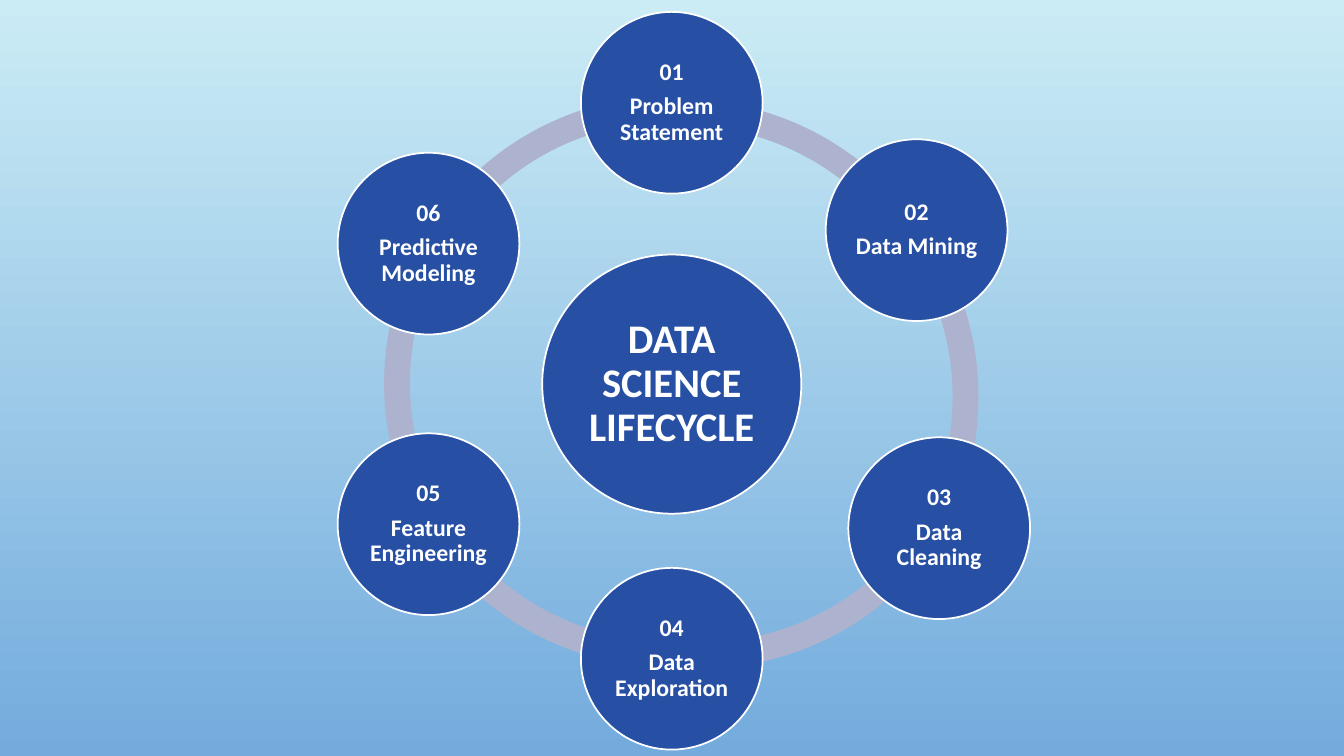
"""Build the data science lifecycle slide: six steps on a ring around a title."""
from typing import NamedTuple

from pptx import Presentation
from pptx import util as u
from pptx.dml.color import RGBColor
from pptx.enum import shapes, text

NAVY, WHITE, MAUVE = "274FA4", "FFFFFF", "ADB3CF"
MID_X, MID_Y = 16.93, 9.68
HUB, HUB_TEXT, NODE, RING = 6.53, 4.6, 4.58, 14.5


class Arc(NamedTuple):
    left: float
    top: float
    high: float
    start: float
    end: float


class Step(NamedTuple):
    x: float
    y: float
    name: str


ARCS = [
    Arc(9.68, 2.41, 14.5, 210, 270),
    Arc(9.68, 2.41, 14.5, 150, 210),
    Arc(9.6, 2.26, 14.55, 89.32, 148.67),
    Arc(10.41, 2.29, 14.55, 32, 95.81),
    Arc(10.16, 2.72, 14.55, 323.69, 27.99),
    Arc(9.93, 2.51, 14.5, 268.03, 326.92),
]
STEPS = [
    Step(MID_X, 2.59, "Problem Statement"),
    Step(23.1, 5.8, "Data Mining"),
    Step(23.67, 13.31, "Data Cleaning"),
    Step(MID_X, 16.6, "Data Exploration"),
    Step(10.8, 13.21, "Feature Engineering"),
    Step(10.8, 6.14, "Predictive Modeling"),
]


def tint(code: str) -> RGBColor:
    """Turn a hex string into a colour."""
    return RGBColor.from_string(code)


def draw_arc(slide, arc: Arc) -> None:
    """Draw one piece of the ring."""
    band = slide.shapes.add_shape(
        shapes.MSO_SHAPE.BLOCK_ARC,
        u.Cm(arc.left), u.Cm(arc.top), u.Cm(RING), u.Cm(arc.high))
    band.shadow.inherit = False
    band.fill.solid()
    band.fill.fore_color.rgb = tint(MAUVE)
    band.line.fill.background()
    for i, val in enumerate((arc.start * 0.6, arc.end * 0.6, 0.045)):
        band.adjustments[i] = val


def draw_disc(slide, x: float, y: float, size: float):
    """Draw a circle around a centre point and return it."""
    disc = slide.shapes.add_shape(
        shapes.MSO_SHAPE.OVAL,
        u.Cm(x - size / 2), u.Cm(y - size / 2), u.Cm(size), u.Cm(size))
    disc.shadow.inherit = False
    disc.fill.solid()
    disc.fill.fore_color.rgb = tint(NAVY)
    disc.line.color.rgb = tint(WHITE)
    disc.line.width = u.Pt(1.25)
    return disc


def set_text(shape, words: str, size: float, pad: float) -> None:
    """Fill a shape with centred bold white text."""
    frame = shape.text_frame
    frame.text = words
    frame.word_wrap = True
    frame.auto_size = text.MSO_AUTO_SIZE.NONE
    frame.vertical_anchor = text.MSO_ANCHOR.MIDDLE
    frame.margin_left = frame.margin_right = u.Cm(pad)
    frame.margin_top = frame.margin_bottom = u.Cm(pad)
    for para in frame.paragraphs:
        para.alignment = text.PP_ALIGN.CENTER
        para.line_spacing = 0.9
        para.space_before = u.Pt(0)
        for run in para.runs:
            run.font.name = "Calibri"
            run.font.size = u.Pt(size)
            run.font.bold = True
            run.font.color.rgb = tint(WHITE)


def draw_step(slide, num: int, step: Step) -> None:
    """Draw one numbered step."""
    disc = draw_disc(slide, step.x, step.y, NODE)
    set_text(disc, f"{num:02d}\n{step.name}", 17, 0.05)
    disc.text_frame.paragraphs[0].space_after = u.Pt(6)


def draw_hub(slide) -> None:
    """Draw the central circle and lay the title over it."""
    draw_disc(slide, MID_X, MID_Y, HUB)
    title = slide.shapes.title
    title.left, title.top = u.Cm(MID_X - HUB_TEXT / 2), u.Cm(MID_Y - HUB_TEXT / 2)
    title.width = title.height = u.Cm(HUB_TEXT)
    set_text(title, "DATA SCIENCE LIFECYCLE", 29, 0.1)
    title.element.getparent().append(title.element)


def main() -> None:
    """Build and save the deck."""
    deck = Presentation()
    deck.slide_width, deck.slide_height = u.Cm(33.87), u.Cm(19.05)
    slide = deck.slides.add_slide(deck.slide_layouts.get_by_name("Title Only"))
    fill = slide.background.fill
    fill.gradient()
    fill.gradient_angle = 270
    for stop, code in zip(fill.gradient_stops, ("CBECF5", "73ABDD")):
        stop.color.rgb = tint(code)
    for arc in ARCS:
        draw_arc(slide, arc)
    draw_hub(slide)
    for num, step in enumerate(STEPS, 1):
        draw_step(slide, num, step)
    deck.save("out.pptx")


if __name__ == "__main__":
    main()
